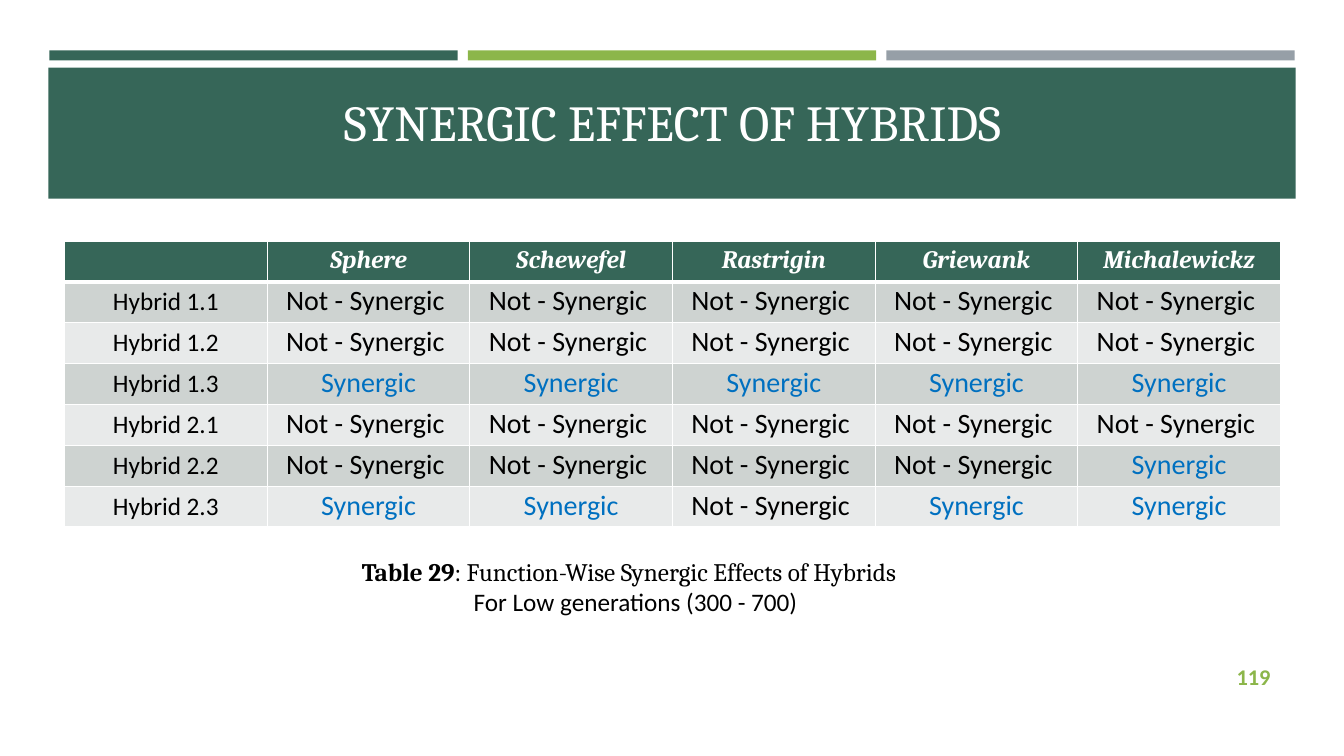
"""Build the slide on the synergic effect of hybrids."""
import pptx
import pptx.dml.color
import pptx.enum.shapes
import pptx.enum.text
import pptx.oxml.ns
import pptx.util
from lxml import etree

Inches = pptx.util.Inches
Pt = pptx.util.Pt
ALIGN = pptx.enum.text.PP_ALIGN
ANCHOR = pptx.enum.text.MSO_ANCHOR
GREEN, LIME, GREY, WHITE = "366658", "8CB64A", "969FA7", "FFFFFF"
BLACK, BLUE = "000000", "0070C0"


def color(hex_string):
    return pptx.dml.color.RGBColor.from_string(hex_string)


def add_run(paragraph, text, size, font, hex_string, bold=False, italic=False):
    run = paragraph.add_run()
    run.text = text
    run.font.size = Pt(size)
    run.font.name = font
    run.font.bold = bold
    run.font.italic = italic
    run.font.color.rgb = color(hex_string)


presentation = pptx.Presentation()
presentation.slide_width = Inches(13.33)
presentation.slide_height = Inches(7.5)
slide = presentation.slides.add_slide(presentation.slide_layouts[6])

bands = [(0.49 + 4.15 * i, 0.5, 4.05, 0.1, fill) for i, fill in enumerate((GREEN, LIME, GREY))]
bands.append((0.48, 0.67, 12.37, 1.3, GREEN))
for left, top, width, height, fill in bands:
    band = slide.shapes.add_shape(pptx.enum.shapes.MSO_SHAPE.RECTANGLE,
                                  Inches(left), Inches(top), Inches(width), Inches(height))
    band.shadow.inherit = False
    band.fill.solid()
    band.fill.fore_color.rgb = color(fill)
    band.line.fill.background()

title = slide.shapes.add_textbox(Inches(0.64), Inches(0.44), Inches(12.06), Inches(1.11)).text_frame
title.word_wrap = True
title.vertical_anchor = ANCHOR.BOTTOM
title.paragraphs[0].alignment = ALIGN.CENTER
add_run(title.paragraphs[0], "SYNERGIC EFFECT OF HYBRIDS", 36, "Cambria", WHITE)

functions = ["Sphere", "Schewefel", "Rastrigin", "Griewank", "Michalewickz"]
synergic_functions = {
    "Hybrid 1.1": [],
    "Hybrid 1.2": [],
    "Hybrid 1.3": functions,
    "Hybrid 2.1": [],
    "Hybrid 2.2": ["Michalewickz"],
    "Hybrid 2.3": ["Sphere", "Schewefel", "Griewank", "Michalewickz"],
}
rows = [[""] + functions]
for hybrid, synergic in synergic_functions.items():
    rows.append([hybrid] + ["Synergic" if name in synergic else "Not - Synergic " for name in functions])

effects = slide.shapes.add_table(len(rows), len(rows[0]), Inches(0.64), Inches(2.39),
                                 Inches(12.06), Inches(2.84)).table
for r, row in enumerate(rows):
    for c, text in enumerate(row):
        cell = effects.cell(r, c)
        properties = cell._tc.get_or_add_tcPr()
        for side in ("L", "R", "T", "B"):
            thick = (r, side) in ((0, "B"), (1, "T"))
            border = etree.SubElement(properties, pptx.oxml.ns.qn("a:ln" + side), w=str(Pt(3 if thick else 1)))
            border_fill = etree.SubElement(border, pptx.oxml.ns.qn("a:solidFill"))
            etree.SubElement(border_fill, pptx.oxml.ns.qn("a:srgbClr"), val=WHITE)
        cell.fill.solid()
        cell.fill.fore_color.rgb = color(GREEN if r == 0 else "CED3D1" if r % 2 else "E8EAEA")
        paragraph = cell.text_frame.paragraphs[0]
        paragraph.alignment = ALIGN.CENTER
        if r == 0:
            if text:
                add_run(paragraph, text, 18, "Cambria", WHITE, bold=True, italic=True)
        elif c == 0:
            add_run(paragraph, text, 18, "Calibri", BLACK)
        else:
            cell.margin_left = cell.margin_right = Inches(0.07)
            cell.margin_top = cell.margin_bottom = 0
            paragraph.line_spacing = 1.07
            add_run(paragraph, text, 20, "Calibri", BLUE if text == "Synergic" else BLACK)

page = slide.shapes.add_textbox(Inches(11.55), Inches(6.51), Inches(1.15), Inches(0.4)).text_frame
page.word_wrap = True
page.vertical_anchor = ANCHOR.MIDDLE
page.paragraphs[0].alignment = ALIGN.RIGHT
add_run(page.paragraphs[0], "119", 16, "Calibri", LIME, bold=True)

caption = slide.shapes.add_textbox(Inches(3.49), Inches(5.47), Inches(5.83), Inches(1.01)).text_frame
caption.word_wrap = True
add_run(caption.paragraphs[0], "Table 29", 18, "Cambria", BLACK, bold=True)
add_run(caption.paragraphs[0], ": Function-Wise Synergic Effects of Hybrids", 18, "Cambria", BLACK)
generations = caption.add_paragraph()
generations._p.get_or_add_pPr().set("marL", str(Inches(1.11)))
add_run(generations, "For Low generations (300 - 700)", 18, "Calibri", BLACK)

presentation.save("out.pptx")
